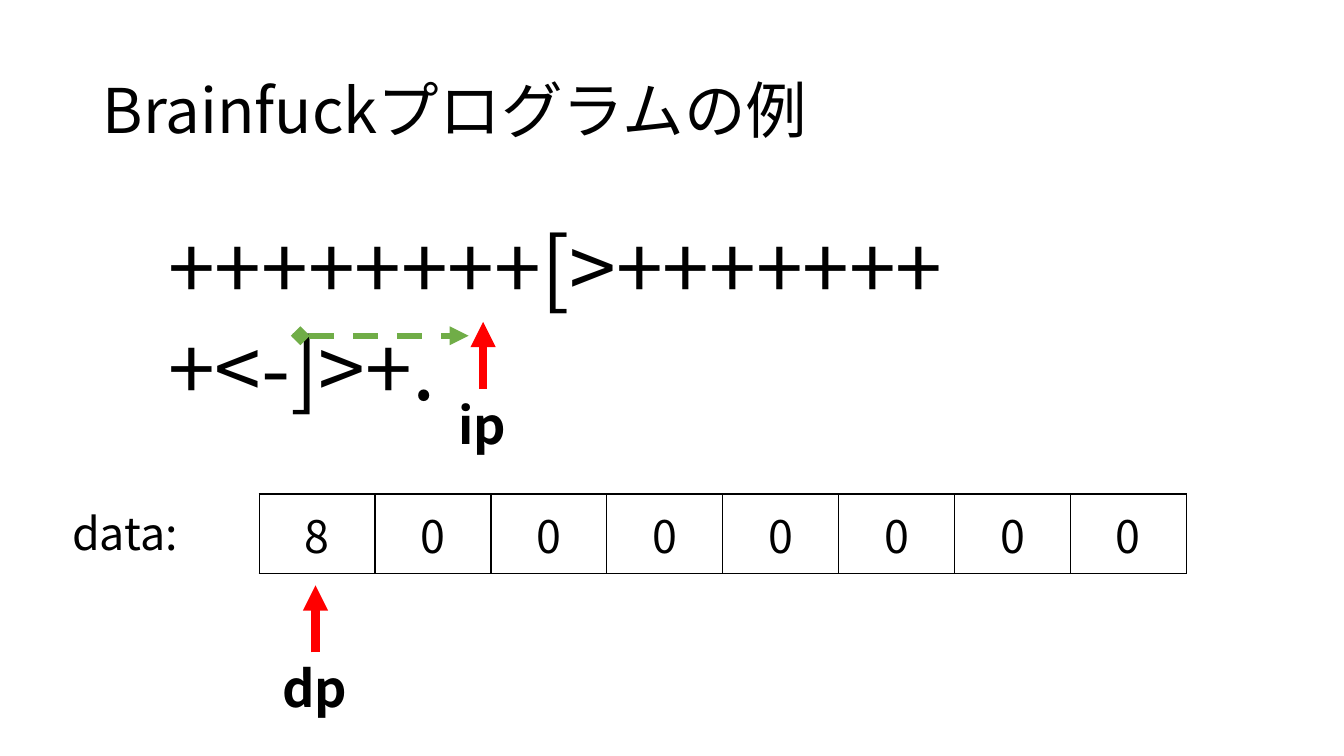
from dataclasses import dataclass

from lxml.etree import SubElement
from pptx import Presentation
from pptx.dml.color import RGBColor
from pptx.enum.dml import MSO_LINE
from pptx.enum.shapes import MSO_CONNECTOR
from pptx.enum.text import MSO_ANCHOR as ANCHOR, MSO_AUTO_SIZE as AUTO, PP_ALIGN as ALIGN
from pptx.oxml.ns import qn
from pptx.util import Cm, Pt


@dataclass(frozen=True)
class Theme:
    font: str = "Noto Sans CJK JP"
    ink: str = "000000"
    pointer: str = "FF0000"
    jump: str = "70AD47"
    title: int = 44
    code: int = 60
    data: int = 32
    label: int = 36


THEME = Theme()


def set_attrs(obj, values):
    for name, value in values.items():
        setattr(obj, name, value)


def write(tf, text, size, bold=False, align=ALIGN.LEFT, spacing=1.0):
    p = tf.paragraphs[0]
    set_attrs(p, {"alignment": align, "line_spacing": spacing})
    r = p.add_run()
    r.text = text
    set_attrs(r.font, {"name": THEME.font, "size": Pt(size), "bold": bold})
    r.font.color.rgb = RGBColor.from_string(THEME.ink)
    SubElement(r.font._element, qn("a:ea"), typeface=THEME.font)


def add_text(shapes, box, text, size, bold=False):
    sp = shapes.add_textbox(*map(Cm, box))
    set_attrs(sp.text_frame, {"word_wrap": True, "auto_size": AUTO.SHAPE_TO_FIT_TEXT})
    write(sp.text_frame, text, size, bold)
    return sp


def add_arrow(shapes, start, end, color, width, head=None, dash=None):
    cxn = shapes.add_connector(MSO_CONNECTOR.STRAIGHT, *map(Cm, (*start, *end)))
    cxn.line.color.rgb = RGBColor.from_string(color)
    set_attrs(cxn.line, {"width": Pt(width), "dash_style": dash})
    sp_pr = cxn._element.spPr
    ln = sp_pr.find(qn("a:ln"))
    if head:
        SubElement(ln, qn("a:headEnd"), type=head)
    SubElement(ln, qn("a:tailEnd"), type="triangle")
    SubElement(sp_pr, qn("a:effectLst"))
    return cxn


def add_title(s, box, text):
    sp = s.shapes.title
    set_attrs(sp, dict(zip(("left", "top", "width", "height"), map(Cm, box))))
    set_attrs(sp.text_frame, {"vertical_anchor": ANCHOR.MIDDLE, "word_wrap": True,
                              "auto_size": AUTO.NONE})
    write(sp.text_frame, text, THEME.title, spacing=0.9)


def add_border(cell):
    tc_pr = cell._tc.get_or_add_tcPr()
    for i, side in enumerate(("lnL", "lnR", "lnT", "lnB")):
        ln = tc_pr.makeelement(qn(f"a:{side}"), {"w": str(Pt(1))})
        fill = SubElement(ln, qn("a:solidFill"))
        SubElement(fill, qn("a:srgbClr"), val=THEME.ink)
        tc_pr.insert(i, ln)


def add_memory(s, box, values):
    left, top, width, height = box
    add_text(s.shapes, (left - 4.96, top + 0.17, 3.86, 1.63), "data:", THEME.data)
    table = s.shapes.add_table(1, len(values), *map(Cm, box)).table
    set_attrs(table, {"first_row": False, "horz_banding": False})
    for col, value in enumerate(values):
        table.columns[col].width = Cm(width / len(values))
        cell = table.cell(0, col)
        cell.vertical_anchor = ANCHOR.MIDDLE
        cell.fill.background()
        add_border(cell)
        write(cell.text_frame, str(value), THEME.data, align=ALIGN.CENTER)


def add_pointer(s, box, name):
    left, top, width, height = box
    arrow_length = 1.69
    label_top = top + arrow_length
    x = left + width / 2
    group = s.shapes.add_group_shape()
    label = add_text(group.shapes, (left, label_top, width, height - arrow_length),
                     name, THEME.label, bold=True)
    arrow = add_arrow(group.shapes, (x, label_top), (x, top), THEME.pointer, 6)
    arrow.begin_connect(label, 0)


def add_program(s, box, code):
    left, top, width, height = box
    add_text(s.shapes, box, code, THEME.code)
    add_pointer(s, (left + 7.31, top + 2.8, 1.75, 3.49), "ip")
    y = top + 3.15
    add_arrow(s.shapes, (left + 3.58, y), (left + 7.82, y), THEME.jump, 4.5,
              head="diamond", dash=MSO_LINE.DASH)


def main():
    prs = Presentation()
    set_attrs(prs, {"slide_width": Cm(33.87), "slide_height": Cm(19.05)})
    s = prs.slides.add_slide(prs.slide_layouts[5])
    add_title(s, (2.34, 1.02, 29.21, 3.68), "Brainfuckプログラムの例")
    add_memory(s, (6.53, 12.45, 23.37, 2.01), [8] + [0] * 7)
    add_program(s, (3.99, 5.31, 25.91, 2.82), "++++++++[>++++++++<-]>+.")
    add_pointer(s, (6.87, 14.75, 2.16, 3.49), "dp")
    prs.save("out.pptx")


if __name__ == "__main__":
    main()
